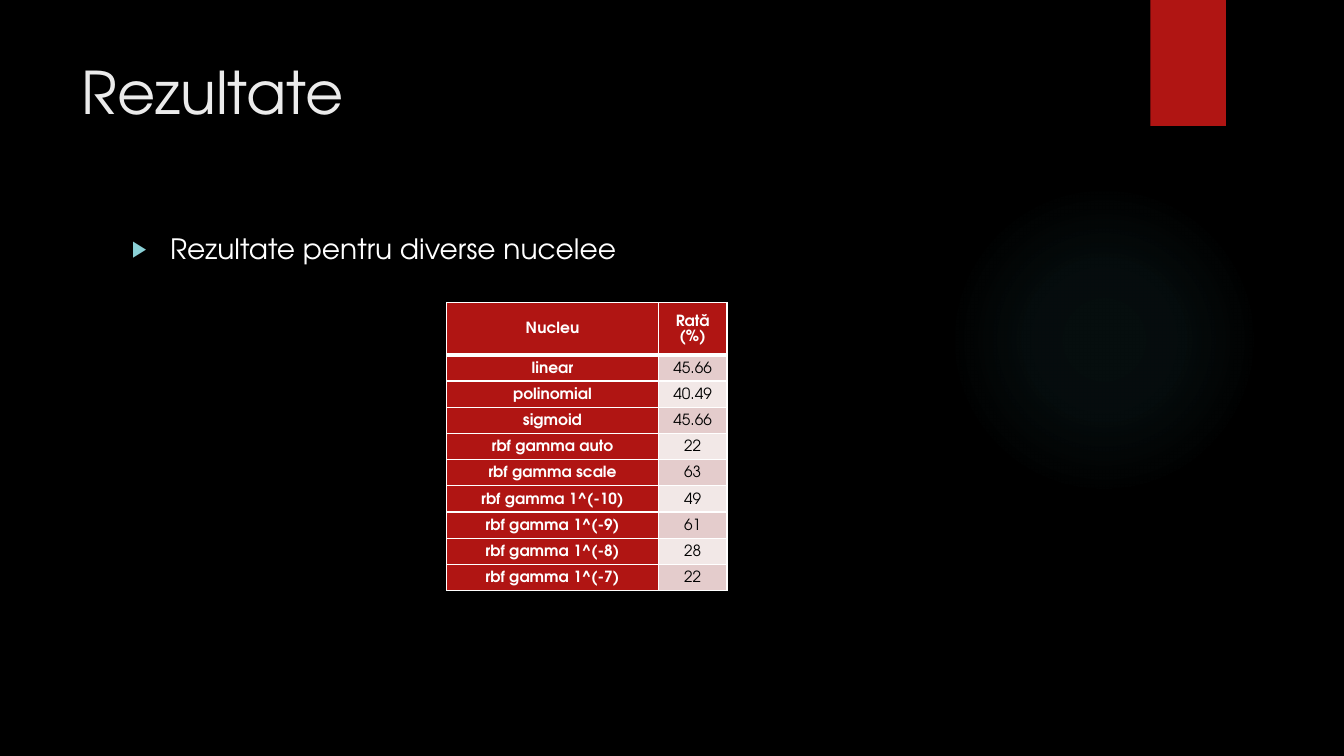
from lxml.etree import SubElement
from pptx import Presentation
from pptx.dml.color import RGBColor
from pptx.enum.shapes import MSO_SHAPE
from pptx.enum.text import MSO_ANCHOR, PP_ALIGN
from pptx.oxml import parse_xml
from pptx.oxml.ns import nsdecls, qn
from pptx.util import Inches, Pt

TITLE = "Rezultate"
BULLET = "Rezultate pentru diverse nucelee"
ROWS = [
    ("Nucleu", "Rată (%)"),
    ("linear", "45.66"),
    ("polinomial", "40.49"),
    ("sigmoid", "45.66"),
    ("rbf gamma auto", "22"),
    ("rbf gamma scale", "63"),
    ("rbf gamma 1^(-10)", "49"),
    ("rbf gamma 1^(-9)", "61"),
    ("rbf gamma 1^(-8)", "28"),
    ("rbf gamma 1^(-7)", "22"),
]
COL_WIDTHS = (2.1, 0.68)
HEADER_HEIGHT, ROW_HEIGHT = 0.52, 0.26
GLOW_STOPS = [(0, 7), (36, 6), (69, 0)]

FONT = "TeX Gyre Adventor"
BLACK = RGBColor(0x00, 0x00, 0x00)
WHITE = RGBColor(0xFF, 0xFF, 0xFF)
OFF_WHITE = RGBColor(0xEB, 0xEB, 0xEB)
RED = RGBColor(0xB0, 0x15, 0x13)
BAND_DARK = RGBColor(0xE4, 0xCC, 0xCC)
BAND_LIGHT = RGBColor(0xF2, 0xE8, 0xE7)
TEAL = RGBColor(0x50, 0xB9, 0xC1)
AQUA = RGBColor(0x8A, 0xD0, 0xD6)


def format_run(p, size, color, bold=False):
    font = p.runs[0].font
    font.name, font.size, font.bold = FONT, Pt(size), bold
    font.color.rgb = color


def add_shape(s, kind, left, top, width, height):
    sp = s.shapes.add_shape(kind, Inches(left), Inches(top), Inches(width), Inches(height))
    sp.shadow.inherit = False
    sp.line.fill.background()
    return sp


def add_text(s, text, left, top, width, height, size, color):
    tf = s.shapes.add_textbox(Inches(left), Inches(top), Inches(width), Inches(height)).text_frame
    tf.word_wrap = True
    tf.text = text
    format_run(tf.paragraphs[0], size, color)
    return tf.paragraphs[0]


def add_glow(s):
    sp = add_shape(s, MSO_SHAPE.OVAL, 9.41, 1.83, 3.08, 3.08)
    stops = "".join(
        f'<a:gs pos="{pos * 1000}"><a:srgbClr val="{TEAL}"><a:alpha val="{alpha * 1000}"/></a:srgbClr></a:gs>'
        for pos, alpha in GLOW_STOPS
    )
    grad = parse_xml(
        f'<a:gradFill {nsdecls("a")}><a:gsLst>{stops}</a:gsLst><a:path path="circle">'
        '<a:fillToRect l="50000" t="50000" r="50000" b="50000"/></a:path></a:gradFill>'
    )
    sp._element.spPr.find(qn("a:prstGeom")).addnext(grad)


def add_ribbon(s):
    sp = add_shape(s, MSO_SHAPE.RECTANGLE, 11.41, 0, 0.75, 1.25)
    sp.fill.solid()
    sp.fill.fore_color.rgb = RED
    effects = sp._element.spPr.find(qn("a:effectLst"))
    effects.append(parse_xml(
        f'<a:outerShdw {nsdecls("a")} blurRad="{Pt(3)}" dist="{Pt(2)}" dir="5400000">'
        '<a:srgbClr val="000000"><a:alpha val="45000"/></a:srgbClr></a:outerShdw>'
    ))


def add_bullet(p):
    p.space_before = Pt(10)
    pPr = p._p.get_or_add_pPr()
    pPr.set("marL", str(Inches(0.38)))
    pPr.set("indent", str(Inches(-0.38)))
    color = SubElement(pPr, qn("a:buClr"))
    SubElement(color, qn("a:srgbClr")).set("val", str(AQUA))
    SubElement(pPr, qn("a:buSzPct")).set("val", "80000")
    SubElement(pPr, qn("a:buFont")).set("typeface", "Arial")
    SubElement(pPr, qn("a:buChar")).set("char", "▶")


def set_borders(cell, top, bottom):
    tcPr = cell._tc.get_or_add_tcPr()
    for side, width in (("L", 1), ("R", 1), ("T", top), ("B", bottom)):
        tcPr.append(parse_xml(
            f'<a:ln{side} {nsdecls("a")} w="{Pt(width)}"><a:solidFill>'
            f'<a:srgbClr val="{WHITE}"/></a:solidFill></a:ln{side}>'
        ))


def format_cell(cell, text, row, col):
    is_head = row == 0 or col == 0
    set_borders(cell, 3 if row == 1 else 1, 3 if row == 0 else 1)
    cell.fill.solid()
    cell.fill.fore_color.rgb = RED if is_head else BAND_DARK if row % 2 else BAND_LIGHT
    cell.vertical_anchor = MSO_ANCHOR.MIDDLE
    cell.margin_left = cell.margin_right = Inches(0.07)
    cell.margin_top, cell.margin_bottom = Inches(0.01), 0
    cell.text_frame.text = text
    p = cell.text_frame.paragraphs[0]
    p.alignment = PP_ALIGN.CENTER
    p.line_spacing = 1.07
    format_run(p, 11, WHITE if is_head else BLACK, is_head)


def add_results(s):
    heights = [HEADER_HEIGHT] + [ROW_HEIGHT] * (len(ROWS) - 1)
    table = s.shapes.add_table(
        len(ROWS), len(COL_WIDTHS), Inches(4.43), Inches(3),
        Inches(sum(COL_WIDTHS)), Inches(sum(heights)),
    ).table
    for column, width in zip(table.columns, COL_WIDTHS):
        column.width = Inches(width)
    for row, values in enumerate(ROWS):
        table.rows[row].height = Inches(heights[row])
        for col, text in enumerate(values):
            format_cell(table.cell(row, col), text, row, col)


def main():
    prs = Presentation()
    prs.slide_width, prs.slide_height = Inches(13.33), Inches(7.5)
    s = prs.slides.add_slide(prs.slide_layouts[6])
    s.background.fill.solid()
    s.background.fill.fore_color.rgb = BLACK
    add_glow(s)
    add_ribbon(s)
    add_text(s, TITLE, 0.71, 0.5, 10.29, 1.53, 42, OFF_WHITE)
    add_bullet(add_text(s, BULLET, 1.21, 2.25, 9.78, 4.59, 20, WHITE))
    add_results(s)
    prs.save("out.pptx")


if __name__ == "__main__":
    main()
